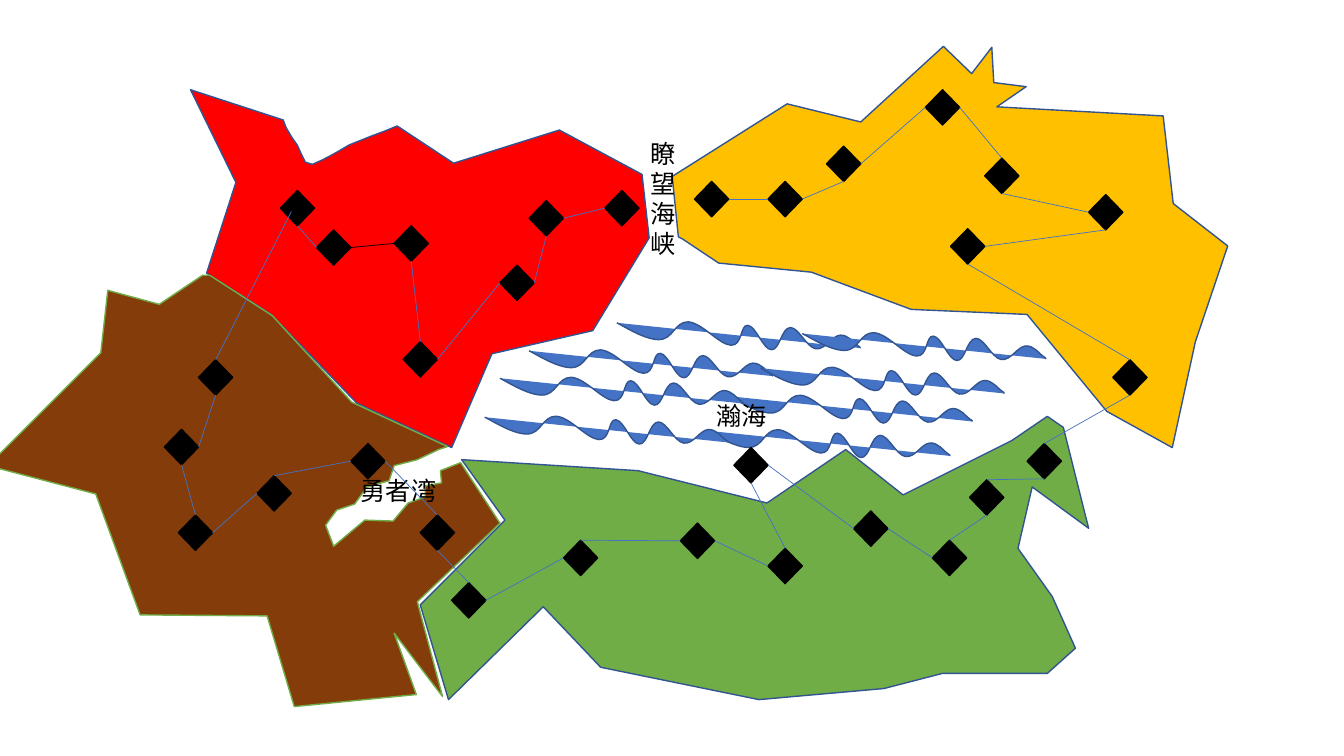
from lxml import etree
from pptx import Presentation
from pptx.dml.color import RGBColor
from pptx.enum.shapes import MSO_CONNECTOR, MSO_SHAPE
from pptx.enum.text import MSO_AUTO_SIZE
from pptx.oxml.ns import qn
from pptx.util import Pt

STRAIGHT = MSO_CONNECTOR.STRAIGHT
DIAMOND = MSO_SHAPE.DIAMOND
GROW = MSO_AUTO_SIZE.SHAPE_TO_FIT_TEXT
FONT = "Noto Sans CJK SC"
BLACK, BLUE, NAVY, GREEN = "000000", "4472C4", "325491", "70AD47"
TOP, LEFT, BOTTOM, RIGHT = range(4)

NORTH = [
    (202.3, 85.7), (204.5, 91.4), (208.8, 98.6), (212.4, 103.7),
    (215.3, 110.2), (218.2, 115.9), (223.2, 117.4), (229.7, 114.5),
    (235.4, 111.6), (241.9, 108), (249.1, 103.7), (256.3, 100.8),
    (267.1, 96.5), (275, 93.6), (283.7, 90), (324, 116.6), (399.6, 92.9),
    (458.6, 124.6), (463.7, 169.9), (423.4, 236.2), (351.4, 252.7),
    (322.6, 319.7), (254.9, 288), (193.7, 224.6), (147.6, 195.1),
    (168.5, 130.3), (136.1, 64.1)]
EAST = [
    (480.2, 126), (562.3, 74.2), (614.9, 87.1), (673.9, 33.1), (694.1, 52.6),
    (708.5, 33.8), (709.9, 59), (733, 61.9), (712.1, 76.3), (830.9, 82.8),
    (838.1, 145.4), (877, 175.7), (853.9, 244.1), (837.4, 319.7),
    (790.6, 293.8), (733.7, 224.6), (650.9, 221), (579.6, 194.4),
    (513.4, 187.9), (487.4, 170.6), (484.6, 169.2)]
SOUTH = [
    (759.6, 305.3), (777.6, 377.3), (737.3, 347.8), (727.2, 391.7),
    (751.7, 426.2), (768.2, 463), (748.1, 481), (673.2, 481), (631.4, 491.8),
    (542.2, 499.7), (429.1, 476.6), (388.1, 433.4), (320.4, 499.7),
    (300.2, 432), (360.7, 371.5), (329.8, 328.3), (455.8, 336.2),
    (547.9, 359.3), (604.1, 321.1), (645.1, 353.5), (722.9, 314.6),
    (748.1, 297.4)]
WEST = [
    (144.7, 196.6), (113.8, 217.4), (77, 207.4), (72, 252), (-8.6, 332.6),
    (68.4, 352.8), (100.1, 439.2), (190.8, 439.9), (210.2, 504.7),
    (297.4, 496.1), (281.5, 452.2), (316.1, 497.5), (298.1, 429.8),
    (357.1, 373.7), (329, 330.5), (314.6, 336.2), (315.4, 344.9),
    (303.8, 347), (303.8, 355), (291.6, 359.3), (280.8, 372.2),
    (260.6, 371.5), (238.3, 390.2), (232.6, 375.1), (240.5, 364.3),
    (253.4, 360), (262.1, 347.8), (277.9, 343.4), (281.5, 332.6),
    (298.1, 328.3), (313.2, 321.1), (319.7, 319), (251.3, 287.3),
    (194.4, 225.4), (149.8, 196.6)]

WAVE = [
    (0, 0), (6, 3), (20, 12), (30, 12),
    (40.5, 12), (41, -0.7), (51, -0.7),
    (61, 0), (73, 15.5), (81.5, 16),
    (90, 16.5), (88, 1.2), (93.6, 1.8),
    (99.5, 2.4), (104.4, 19), (110.4, 19.2),
    (116.5, 19.5), (117.5, 3.6), (124, 3.4),
    (130, 3.4), (135.4, 17.3), (142, 18.5),
    (149, 19.5), (153.4, 9.4), (159.6, 8.8),
    (165.6, 8.5), (169.3, 14.5), (172, 16.2),
    (175, 18), (173.5, 17.8), (173.5, 18)]
WAVES = [
    (520.6, 283), (504.7, 307.6), (346.3, 298), (357.1, 270.2),
    (378, 250.6), (543.4, 263), (440.6, 230.6), (573.1, 238.3)]

STOPS = [
    (200.2, 136.1), (226.1, 164.2), (281.5, 161.3), (288, 244.1),
    (357.1, 189.4), (378, 143.3), (432, 136.1), (496.1, 129.6),
    (548.6, 129.6), (590.4, 104.4), (661, 64.1), (703.4, 113),
    (777.6, 139), (679, 163.4), (794.9, 257), (733.7, 316.8),
    (692.6, 342.7), (666, 385.9), (609.8, 365), (524.2, 319.7),
    (548.6, 391.7), (486, 373.7), (402.5, 385.9), (322.6, 416.2),
    (300.2, 367.9), (250.6, 316.8), (183.6, 339.8), (127.4, 367.9),
    (117.4, 306.7), (141.8, 257)]
STRAIT = 6
LINKS = [
    (BOTTOM, LEFT), (RIGHT, LEFT), (BOTTOM, TOP), (RIGHT, LEFT),
    (RIGHT, BOTTOM), (RIGHT, LEFT), None, (RIGHT, LEFT),
    (RIGHT, BOTTOM), (RIGHT, LEFT), (RIGHT, TOP), (BOTTOM, LEFT),
    (BOTTOM, RIGHT), (BOTTOM, TOP), (BOTTOM, TOP), (BOTTOM, TOP),
    (BOTTOM, TOP), (LEFT, RIGHT), (LEFT, RIGHT), (BOTTOM, TOP),
    (LEFT, RIGHT), (LEFT, TOP), (LEFT, RIGHT), (TOP, BOTTOM),
    (TOP, RIGHT), (LEFT, TOP), (LEFT, RIGHT), (TOP, BOTTOM),
    (RIGHT, BOTTOM)]


def color(text):
    return RGBColor.from_string(text)


def paint(shape, fill, line):
    shape.shadow.inherit = False
    shape.fill.solid()
    shape.fill.fore_color.rgb = color(fill)
    shape.line.color.rgb = color(line)
    shape.line.width = Pt(1)


def add_free(slide, points, fill, line, close=True):
    first, *rest = [(Pt(x), Pt(y)) for x, y in points]
    pen = slide.shapes.build_freeform(*first)
    pen.add_line_segments(rest, close=close)
    shape = pen.convert_to_shape()
    paint(shape, fill, line)
    return shape


def add_wave(slide, left, top):
    points = [(left + x, top + y) for x, y in WAVE]
    wave = add_free(slide, points, BLUE, NAVY, close=False)
    parts = list(wave._element.iter(qn("a:lnTo")))
    for start in range(0, len(parts), 3):
        trio = parts[start:start + 3]
        curve = etree.Element(qn("a:cubicBezTo"))
        trio[0].addprevious(curve)
        for part in trio:
            curve.append(part[0])
            part.getparent().remove(part)


def add_label(slide, text, left, top, width, height):
    box = slide.shapes.add_textbox(Pt(left), Pt(top), Pt(width), Pt(height))
    frame = box.text_frame
    frame.word_wrap = True
    frame.auto_size = GROW
    frame.text = text
    run = frame.paragraphs[0].runs[0]
    run.font.size = Pt(18)
    run.font.name = FONT
    run.font.color.rgb = color(BLACK)
    etree.SubElement(run.font._element, qn("a:ea"), typeface=FONT)


def add_stop(slide, left, top):
    stop = slide.shapes.add_shape(
        DIAMOND, Pt(left), Pt(top), Pt(24.5), Pt(25.2))
    paint(stop, BLACK, BLACK)
    return stop


def add_link(slide, start, side, tint, end=(0, 0)):
    x, y = (Pt(value) for value in end)
    link = slide.shapes.add_connector(STRAIGHT, x, y, x, y)
    link.begin_connect(start, side)
    link.line.color.rgb = color(tint)
    link.line.width = Pt(0.5)
    etree.SubElement(link._element.spPr, qn("a:effectLst"))
    return link


def main():
    deck = Presentation()
    deck.slide_width, deck.slide_height = Pt(960), Pt(540)
    slide = deck.slides.add_slide(deck.slide_layouts[6])

    add_free(slide, NORTH, "FF0000", NAVY)
    add_free(slide, EAST, "FFC000", NAVY)
    add_free(slide, SOUTH, GREEN, NAVY)
    for left, top in WAVES:
        add_wave(slide, left, top)
    add_free(slide, WEST, "843C0B", GREEN)

    add_label(slide, "瀚海", 504.7, 282.3, 129.6, 29)
    add_label(slide, "勇者湾", 250.6, 336.2, 118.8, 29)
    add_label(slide, "瞭望海峡", 457.5, 95, 28.8, 94.3)

    stops = [add_stop(slide, left, top) for left, top in STOPS]
    for index, sides in enumerate(LINKS):
        if index != STRAIT:
            tint = BLACK if index == 1 else BLUE
            link = add_link(slide, stops[index], sides[0], tint)
            link.end_connect(stops[index + 1], sides[1])
    add_link(slide, stops[-1], TOP, BLUE, (208.1, 151.2))

    deck.save("out.pptx")


if __name__ == "__main__":
    main()
